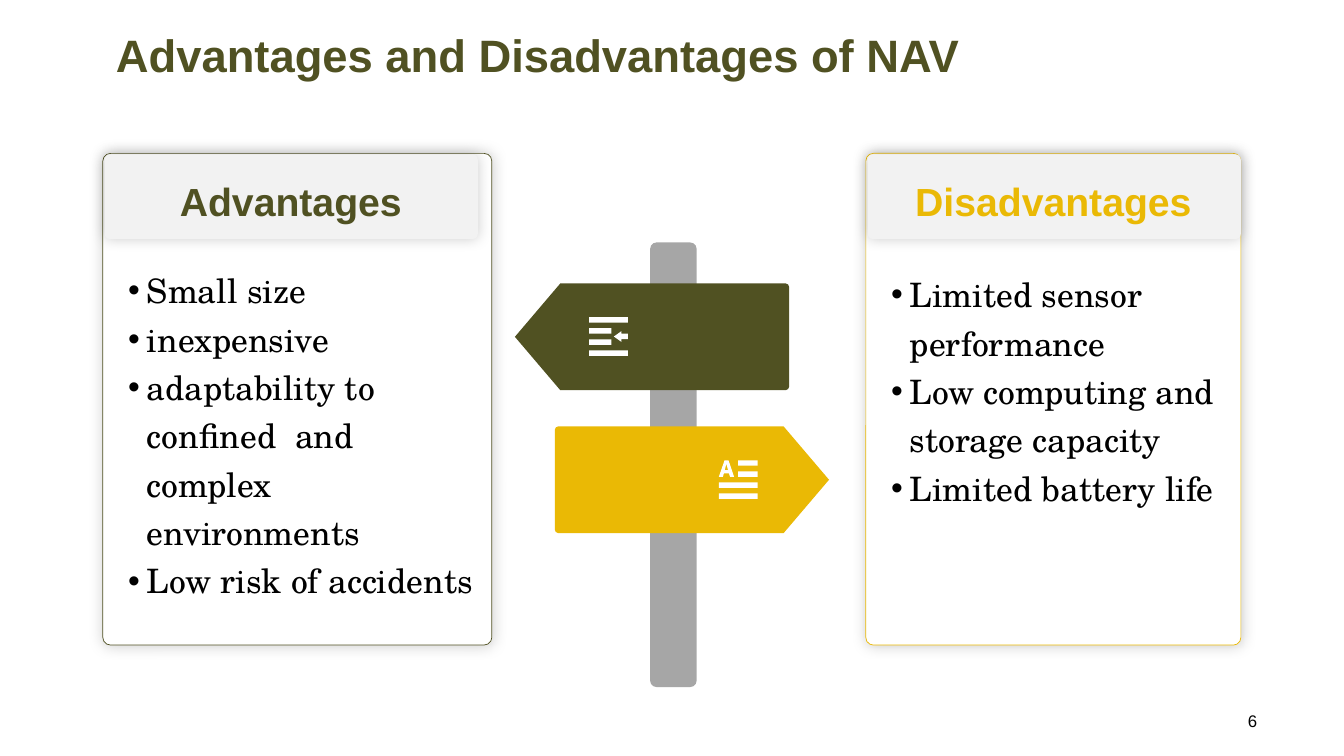
from dataclasses import dataclass

from lxml.etree import SubElement
from pptx import Presentation
from pptx.dml.color import RGBColor
from pptx.enum.shapes import MSO_SHAPE
from pptx.enum.text import MSO_ANCHOR, MSO_AUTO_SIZE, PP_ALIGN
from pptx.oxml.ns import qn
from pptx.util import Pt


@dataclass(frozen=True)
class Theme:
    """Colours, fonts and type sizes of the slide."""
    olive: str = "505122"
    gold: str = "EAB905"
    white: str = "FFFFFF"
    black: str = "000000"
    header: str = "F2F2F2"
    pole: str = "A6A6A6"
    sans: str = "Arial"
    serif: str = "TeX Gyre Schola"
    title_size: float = 32.4
    heading_size: float = 28
    body_size: float = 24
    number_size: float = 12


@dataclass(frozen=True)
class Card:
    """Content and placing of one card; boxes are left, top, width, height."""
    heading: str
    points: tuple
    colour: str
    frame: tuple
    header: tuple
    heading_box: tuple
    body_box: tuple


THEME = Theme()
SIGN_WIDTH, SIGN_HEIGHT, SIGN_TIP, SIGN_CORNER = 195.84, 76.2, 32.4, 2.4
ICON_SIZE, BAR_HEIGHT, BAR_PITCH = 27.6, 3.9, 7.9

CARDS = (
    Card("Advantages",
         ("Small size", "inexpensive",
          "adaptability to confined  and complex environments",
          "Low risk of accidents"),
         THEME.olive, (73.44, 109.6, 277.92, 351.2), (74.88, 110.3, 266.4, 60.4),
         (95.04, 113, 225.36, 50.4), (91.44, 183.6, 253.44, 265.68)),
    Card("Disadvantages",
         ("Limited sensor performance", "Low computing and storage capacity",
          "Limited battery life"),
         THEME.gold, (618.48, 109.6, 267.84, 351.2), (619.92, 110.3, 266.4, 60.4),
         (642.96, 113, 218.88, 50.4), (636.48, 186.5, 249.84, 264.96)),
)


def rgb(colour):
    """Turn a hex string into a colour."""
    return RGBColor.from_string(colour)


def in_points(lengths):
    """Turn plain numbers into point lengths."""
    return [Pt(length) for length in lengths]


def write(box, lines, *, size, colour=THEME.black, font=THEME.sans, bold=False,
          align=PP_ALIGN.LEFT, anchor=MSO_ANCHOR.MIDDLE, spacing=1.0,
          insets=(7.2, 3.6), bullet_indent=None):
    """Fill a shape with one paragraph per line in the given format."""
    frame = box.text_frame
    frame.word_wrap = True
    frame.auto_size = MSO_AUTO_SIZE.NONE
    frame.vertical_anchor = anchor
    frame.margin_left = frame.margin_right = Pt(insets[0])
    frame.margin_top = frame.margin_bottom = Pt(insets[1])
    for index, line in enumerate(lines):
        para = frame.add_paragraph() if index else frame.paragraphs[0]
        if bullet_indent:
            properties = para._p.get_or_add_pPr()
            properties.set("marL", str(Pt(bullet_indent)))
            properties.set("indent", str(-Pt(bullet_indent)))
            SubElement(properties, qn("a:buFont"), typeface=THEME.sans)
            SubElement(properties, qn("a:buChar"), char="•")
        para.alignment = align
        para.line_spacing = spacing
        span = para.add_run()
        span.text = line
        span.font.size = Pt(size)
        span.font.name = font
        span.font.bold = bold
        span.font.color.rgb = rgb(colour)


def add_text(slide, place, lines, **text_format):
    """Add a text box with formatted lines."""
    write(slide.shapes.add_textbox(*in_points(place)), lines, **text_format)


def paint(shape, fill, line=None):
    """Give a shape a flat fill, an optional thin outline and no shadow."""
    shape.shadow.inherit = False
    shape.fill.solid()
    shape.fill.fore_color.rgb = rgb(fill)
    if line:
        shape.line.color.rgb = rgb(line)
        shape.line.width = Pt(0.5)
    else:
        shape.line.fill.background()


def add_rounded(shapes, place, corner, fill, line=None):
    """Add a rounded rectangle."""
    shape = shapes.add_shape(MSO_SHAPE.ROUNDED_RECTANGLE, *in_points(place))
    shape.adjustments[0] = corner
    paint(shape, fill, line)
    return shape


def add_glow(shape):
    """Add a soft shadow on all sides."""
    effects = shape._element.spPr.find(qn("a:effectLst"))
    shadow = SubElement(effects, qn("a:outerShdw"), blurRad=str(Pt(10)), dist="0",
                        dir="0", algn="ctr", rotWithShape="0")
    colour = SubElement(shadow, qn("a:srgbClr"), val=THEME.black)
    SubElement(colour, qn("a:alpha"), val="20000")


def add_outline(shapes, left, top, contours, fill):
    """Add one freeform from closed contours placed relative to a corner."""
    placed = [[(Pt(left + x), Pt(top + y)) for x, y in contour] for contour in contours]
    builder = shapes.build_freeform(*placed[0][0])
    for index, contour in enumerate(placed):
        if index:
            builder.move_to(*contour[0])
        builder.add_line_segments(contour[1:], close=True)
    paint(builder.convert_to_shape(), fill)


def add_sign(shapes, left, top, fill, points_left=False):
    """Add an arrow-shaped sign with softened corners at its blunt end."""
    corner, soft, shoulder = SIGN_CORNER, SIGN_CORNER * 0.3, SIGN_WIDTH - SIGN_TIP
    upper = [(0, corner), (soft, soft), (corner, 0), (shoulder, 0)]
    lower = [(x, SIGN_HEIGHT - y) for x, y in reversed(upper)]
    contour = upper + [(SIGN_WIDTH, SIGN_HEIGHT / 2)] + lower
    if points_left:
        contour = [(SIGN_WIDTH - x, y) for x, y in contour]
    add_outline(shapes, left, top, [contour], fill)


def icon_bars(spans):
    """Return stacked bars, one for each start and end."""
    bars = []
    for row, (start, end) in enumerate(spans):
        top = row * BAR_PITCH
        bottom = top + BAR_HEIGHT
        bars.append([(start, top), (end, top), (end, bottom), (start, bottom)])
    return bars


def add_signpost(slide):
    """Add the pole with its two signs and their icons as a group."""
    shapes = slide.shapes.add_group_shape().shapes
    add_rounded(shapes, (464.4, 173.2, 33.2, 317.6), 0.138, THEME.pole)
    full, short, late = (0, ICON_SIZE), (0, 15.8), (13.8, ICON_SIZE)
    arrow = [(23, 10), (23, 11.8), (ICON_SIZE, 11.8), (ICON_SIZE, 15.7),
             (23, 15.7), (23, 17.6), (17.6, 13.8)]
    letter = [(4.1, 0), (6.9, 0), (10.9, 11.8), (8, 11.8),
              (7.2, 9.3), (3.6, 9.3), (2.9, 11.8), (0, 11.8)]
    letter_hole = [(5.4, 2.6), (4.2, 7), (6.6, 7)]
    add_sign(shapes, 396.3, 304.6, THEME.gold)
    add_outline(shapes, 513.5, 328.8,
                icon_bars([late, late, full, full]) + [letter, letter_hole], THEME.white)
    add_sign(shapes, 367.8, 202.5, THEME.olive, points_left=True)
    add_outline(shapes, 420.9, 226.6,
                icon_bars([full, short, short, full]) + [arrow], THEME.white)


def add_card(slide, card):
    """Add a framed card with a heading and a bulleted list."""
    add_glow(add_rounded(slide.shapes, card.frame, 0.02, THEME.white, card.colour))
    add_glow(add_rounded(slide.shapes, card.header, 0.059, THEME.header))
    add_text(slide, card.heading_box, [card.heading], size=THEME.heading_size,
             colour=card.colour, bold=True, align=PP_ALIGN.CENTER, spacing=1.3)
    add_text(slide, card.body_box, card.points, size=THEME.body_size, font=THEME.serif,
             anchor=MSO_ANCHOR.TOP, spacing=1.2, insets=(0, 3.6), bullet_indent=13.5)


def add_title(slide, text):
    """Place and format the title placeholder."""
    title = slide.shapes.title
    title.left, title.top, title.width, title.height = in_points((82.8, 7.92, 626.4, 61.92))
    write(title, [text], size=THEME.title_size, colour=THEME.olive, bold=True, insets=(0, 0))


def main():
    """Build and save the slide."""
    deck = Presentation()
    deck.slide_width, deck.slide_height = Pt(960), Pt(540)
    slide = deck.slides.add_slide(deck.slide_layouts[5])
    add_title(slide, "Advantages and Disadvantages of NAV")
    for card in CARDS:
        add_card(slide, card)
    add_signpost(slide)
    add_text(slide, (689.04, 500.4, 216, 28.8), ["6"], size=THEME.number_size,
             align=PP_ALIGN.RIGHT)
    deck.save("out.pptx")


if __name__ == "__main__":
    main()
